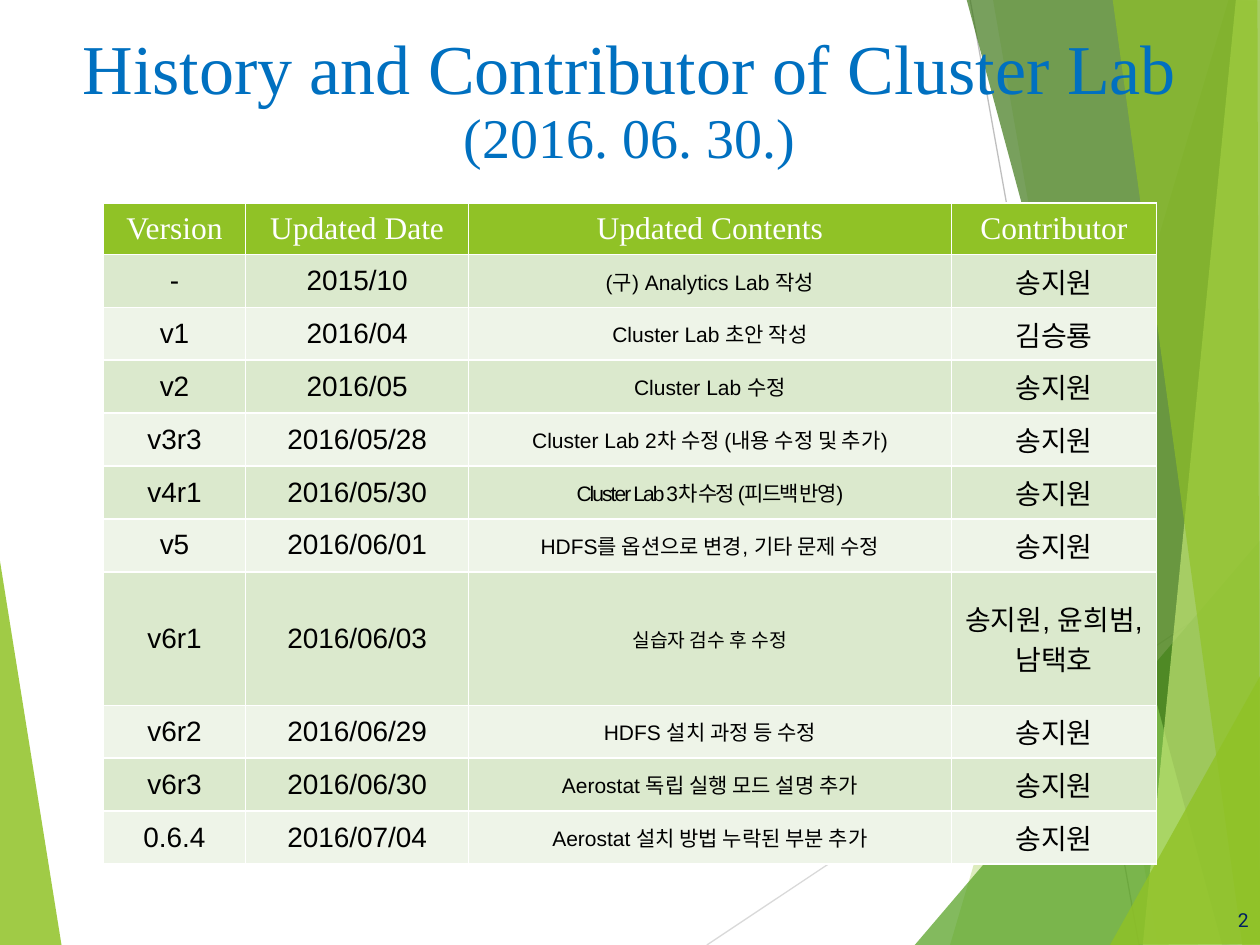
from lxml.etree import SubElement
from pptx import Presentation
from pptx.dml.color import RGBColor
from pptx.enum.shapes import MSO_CONNECTOR
from pptx.enum.text import MSO_ANCHOR, PP_ALIGN
from pptx.oxml.ns import qn
from pptx.util import Inches, Pt

THEME = {
    "title_font": "Times New Roman", "body_font": "Arial", "number_font": "Roboto",
    "title_size": 40, "date_size": 32, "header_size": 18, "body_size": 16,
    "contents_size": 12, "small_size": 11,
    "title": "0070C0", "number": "002060", "text": "000000", "white": "FFFFFF",
    "green": "90C226", "mid_green": "54A021", "dark_green": "3F7819",
    "pale_green": "C0E474", "bands": ("DBE9CD", "EEF4E8"),
    "light_line": "D9D9D9", "grey_line": "BFBFBF",
}

TITLE = [("History and Contributor of Cluster Lab", THEME["title_size"]),
         ("(2016. 06. 30.)", THEME["date_size"])]
SLIDE_NUMBER = "2"

HEADERS = ["Version", "Updated Date", "Updated Contents", "Contributor"]
HISTORY = [
    ("-", "2015/10", "(구) Analytics Lab 작성", "송지원"),
    ("v1", "2016/04", "Cluster Lab 초안 작성", "김승룡"),
    ("v2", "2016/05", "Cluster Lab 수정", "송지원"),
    ("v3r3", "2016/05/28", "Cluster Lab 2차 수정 (내용 수정 및 추가)", "송지원"),
    ("v4r1", "2016/05/30", "Cluster Lab 3차 수정 (피드백 반영)", "송지원"),
    ("v5", "2016/06/01", "HDFS를 옵션으로 변경, 기타 문제 수정", "송지원"),
    ("v6r1", "2016/06/03", "실습자 검수 후 수정", "송지원, 윤희범, 남택호"),
    ("v6r2", "2016/06/29", "HDFS 설치 과정 등 수정", "송지원"),
    ("v6r3", "2016/06/30", "Aerostat 독립 실행 모드 설명 추가", "송지원"),
    ("0.6.4", "2016/07/04", "Aerostat 설치 방법 누락된 부분 추가", "송지원"),
]
COLUMN_WIDTHS = [1.13, 1.77, 3.83, 1.63]
HEADER_HEIGHT = 0.41
ROW_HEIGHT = 0.42
TALL_ROWS = {"v6r1": 1.06}
CONTENTS_COLUMN = 2
CONTENTS_SIZES = {"v6r1": THEME["small_size"]}
CONTENTS_SPACING = {"v4r1": -1.1}

# Fill colour, opacity in percent, corner points in inches
LEFT_FACET = ("green", 85, [(-0.01, 4.39), (0.49, 7.51), (-0.01, 7.5)])
RIGHT_FACETS = [
    ("green", 30, [(9.75, 0), (7.54, 7.5), (10.02, 7.51), (10.01, 0.01)]),
    ("green", 20, [(7.88, -0.01), (9.19, 7.5), (10.01, 7.5), (10.01, -0.01)]),
    ("mid_green", 72, [(7.26, 7.5), (10, 4.29), (10.01, 7.5)]),
    ("dark_green", 70, [(7.67, -0.01), (9.7, 7.5), (10.01, 7.49), (10.01, -0.01)]),
    ("pale_green", 70, [(9.81, -0.01), (9.07, 7.5), (10.01, 7.5), (10, -0.01)]),
    ("green", 65, [(8.83, -0.01), (9.86, 7.5), (10, 7.5), (9.98, -0.01)]),
    ("green", 80, [(8.81, 7.5), (10.01, 5.35), (10.01, 7.49)]),
]
RAYS = [("light_line", (5.61, 7.5), (10.01, 4.57)),
        ("grey_line", (7.7, 0), (9.04, 7.5))]


def color(value):
    return RGBColor.from_string(value)


def add_facet(slide, fill, opacity, points):
    corners = [(Inches(x), Inches(y)) for x, y in points]
    builder = slide.shapes.build_freeform(*corners[0])
    builder.add_line_segments(corners[1:], close=True)
    shape = builder.convert_to_shape()
    shape.shadow.inherit = False
    shape.fill.solid()
    shape.fill.fore_color.rgb = color(THEME[fill])
    shape.line.fill.background()
    fill_color = shape._element.spPr.find(qn("a:solidFill"))[0]
    SubElement(fill_color, qn("a:alpha"), val=str(opacity * 1000))


def add_ray(slide, line_color, start, end):
    ray = slide.shapes.add_connector(
        MSO_CONNECTOR.STRAIGHT, *(Inches(value) for value in start + end))
    ray.line.color.rgb = color(THEME[line_color])
    ray.line.width = Pt(0.75)
    SubElement(ray._element.spPr, qn("a:effectLst"))


def add_run(paragraph, text, font, size, text_color, alignment=PP_ALIGN.CENTER):
    paragraph.alignment = alignment
    run = paragraph.add_run()
    run.text = text
    run.font.name = font
    run.font.size = Pt(size)
    run.font.color.rgb = color(text_color)
    return run


def add_text_frame(slide, left, top, width, height):
    box = slide.shapes.add_textbox(*map(Inches, (left, top, width, height)))
    frame = box.text_frame
    frame.word_wrap = True
    frame.vertical_anchor = MSO_ANCHOR.MIDDLE
    return frame


def style_cell(cell, fill):
    """Draw white borders, then the fill, in the order the file format requires."""
    properties = cell._tc.get_or_add_tcPr()
    for side in "LRTB":
        border = SubElement(properties, qn(f"a:ln{side}"), w=str(Pt(1)))
        solid = SubElement(border, qn("a:solidFill"))
        SubElement(solid, qn("a:srgbClr"), val=THEME["white"])
    cell.fill.solid()
    cell.fill.fore_color.rgb = color(fill)
    cell.vertical_anchor = MSO_ANCHOR.MIDDLE


def add_history_table(slide):
    row_heights = [HEADER_HEIGHT] + [
        TALL_ROWS.get(entry[0], ROW_HEIGHT) for entry in HISTORY]
    table = slide.shapes.add_table(
        len(row_heights), len(HEADERS), Inches(0.82), Inches(1.61),
        Inches(sum(COLUMN_WIDTHS)), Inches(sum(row_heights))).table
    for column, width in zip(table.columns, COLUMN_WIDTHS):
        column.width = Inches(width)
    for row, height in zip(table.rows, row_heights):
        row.height = Inches(height)

    for column, header in enumerate(HEADERS):
        cell = table.cell(0, column)
        style_cell(cell, THEME["green"])
        add_run(cell.text_frame.paragraphs[0], header, THEME["title_font"],
                THEME["header_size"], THEME["white"]).font.bold = False

    for index, entry in enumerate(HISTORY):
        version = entry[0]
        for column, text in enumerate(entry):
            cell = table.cell(index + 1, column)
            style_cell(cell, THEME["bands"][index % 2])
            is_contents = column == CONTENTS_COLUMN
            size = THEME["body_size"]
            if is_contents:
                size = CONTENTS_SIZES.get(version, THEME["contents_size"])
            run = add_run(cell.text_frame.paragraphs[0], text,
                          THEME["body_font"], size, THEME["text"])
            if is_contents and version in CONTENTS_SPACING:
                run._r.get_or_add_rPr().set("spc", str(round(CONTENTS_SPACING[version] * 100)))


def main():
    presentation = Presentation()
    presentation.slide_width = Inches(10)
    presentation.slide_height = Inches(7.5)
    slide = presentation.slides.add_slide(presentation.slide_layouts[6])

    add_facet(slide, *LEFT_FACET)
    for ray in RAYS:
        add_ray(slide, *ray)
    for facet in RIGHT_FACETS:
        add_facet(slide, *facet)

    title = add_text_frame(slide, 0.44, 0.35, 9.11, 0.92)
    for index, (text, size) in enumerate(TITLE):
        paragraph = title.add_paragraph() if index else title.paragraphs[0]
        paragraph.line_spacing = 0.9
        add_run(paragraph, text, THEME["title_font"], size, THEME["title"])

    add_history_table(slide)

    number = add_text_frame(slide, 9.45, 7.1, 0.56, 0.4)
    add_run(number.paragraphs[0], SLIDE_NUMBER, THEME["number_font"],
            THEME["small_size"], THEME["number"], PP_ALIGN.RIGHT)

    presentation.save("out.pptx")


if __name__ == "__main__":
    main()
